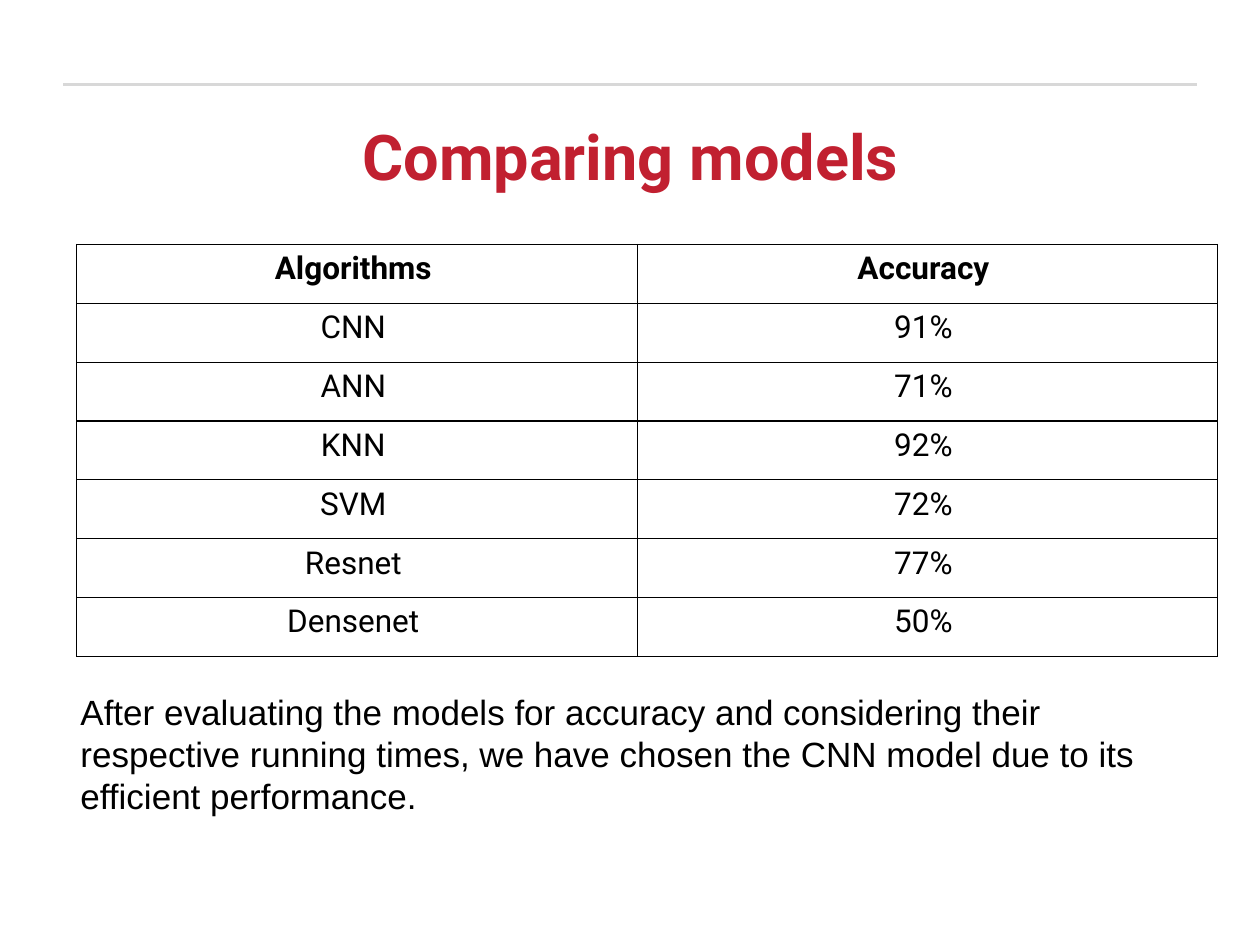
import pptx
import pptx.dml.color
import pptx.enum.shapes
import pptx.enum.text
import pptx.oxml
import pptx.oxml.ns
import pptx.util
from pptx.util import Inches

COLORS = {"rule": "D8D8D8", "title": "C12030", "text": "000000"}
RESULTS = [
    ("Algorithms", "Accuracy"),
    ("CNN", "91%"),
    ("ANN", "71%"),
    ("KNN", "92%"),
    ("SVM", "72%"),
    ("Resnet", "77%"),
    ("Densenet", "50%"),
]
CONCLUSION = (
    "After evaluating the models for accuracy and considering their respective "
    "running times, we have chosen the CNN model due to its efficient performance."
)


def rgb(name):
    return pptx.dml.color.RGBColor.from_string(COLORS[name])


def format_paragraph(paragraph, font_name, size, color, bold=False, alignment=None):
    paragraph.alignment = alignment
    for run in paragraph.runs:
        run.font.name = font_name
        run.font.size = pptx.util.Pt(size)
        run.font.bold = bold
        run.font.color.rgb = rgb(color)


def add_rule(slide, left, top, width):
    rule = slide.shapes.add_connector(
        pptx.enum.shapes.MSO_CONNECTOR.STRAIGHT, left, top, left + width, top
    )
    rule.line.color.rgb = rgb("rule")
    rule.line.width = pptx.util.Pt(2)
    pptx.oxml.ns.qn("a:effectLst")
    rule._element.spPr.append(
        pptx.oxml.parse_xml(f"<a:effectLst {pptx.oxml.ns.nsdecls('a')}/>")
    )


def place_title(slide, left, top, width, height):
    title = slide.shapes.title
    title.left, title.top, title.width, title.height = left, top, width, height
    title.text_frame.text = "Comparing models"
    title.text_frame.vertical_anchor = pptx.enum.text.MSO_ANCHOR.MIDDLE
    format_paragraph(title.text_frame.paragraphs[0], "Roboto", 36, "title", True,
                     pptx.enum.text.PP_ALIGN.CENTER)


def add_borders(cell):
    properties = cell._tc.get_or_add_tcPr()
    for position, side in enumerate(("lnL", "lnR", "lnT", "lnB")):
        properties.insert(position, pptx.oxml.parse_xml(
            f'<a:{side} {pptx.oxml.ns.nsdecls("a")} w="{pptx.util.Pt(0.75)}">'
            f'<a:solidFill><a:srgbClr val="{COLORS["text"]}"/></a:solidFill></a:{side}>'
        ))


def add_results_table(slide, left, top, width, height):
    table = slide.shapes.add_table(len(RESULTS), 2, left, top, width, height).table
    table.horz_banding = False
    table.columns[0].width = Inches(4.45)
    table.columns[1].width = width - Inches(4.45)
    for row_index, values in enumerate(RESULTS):
        for column_index, value in enumerate(values):
            cell = table.cell(row_index, column_index)
            cell.fill.background()
            cell.margin_left = cell.margin_right = Inches(0.07)
            cell.margin_top = cell.margin_bottom = Inches(0.05)
            cell.text_frame.text = f"{value} "
            format_paragraph(cell.text_frame.paragraphs[0], "Roboto", 18, "text",
                             row_index == 0, pptx.enum.text.PP_ALIGN.CENTER)
            add_borders(cell)


def add_conclusion(slide, left, top, width, height):
    text_frame = slide.shapes.add_textbox(left, top, width, height).text_frame
    text_frame.word_wrap = True
    text_frame.auto_size = pptx.enum.text.MSO_AUTO_SIZE.SHAPE_TO_FIT_TEXT
    text_frame.text = CONCLUSION
    format_paragraph(text_frame.paragraphs[0], "Arial", 20, "text")


def main():
    presentation = pptx.Presentation()
    presentation.slide_width = Inches(10)
    presentation.slide_height = Inches(7.5)
    slide = presentation.slides.add_slide(presentation.slide_layouts[5])
    add_rule(slide, Inches(0.5), Inches(0.67), Inches(9))
    place_title(slide, Inches(0.48), Inches(0.58), Inches(9.05), Inches(1.3))
    add_results_table(slide, Inches(0.61), Inches(1.94), Inches(9.05), Inches(3.27))
    add_conclusion(slide, Inches(0.54), Inches(5.43), Inches(8.84), Inches(1.11))
    presentation.save("out.pptx")


if __name__ == "__main__":
    main()
